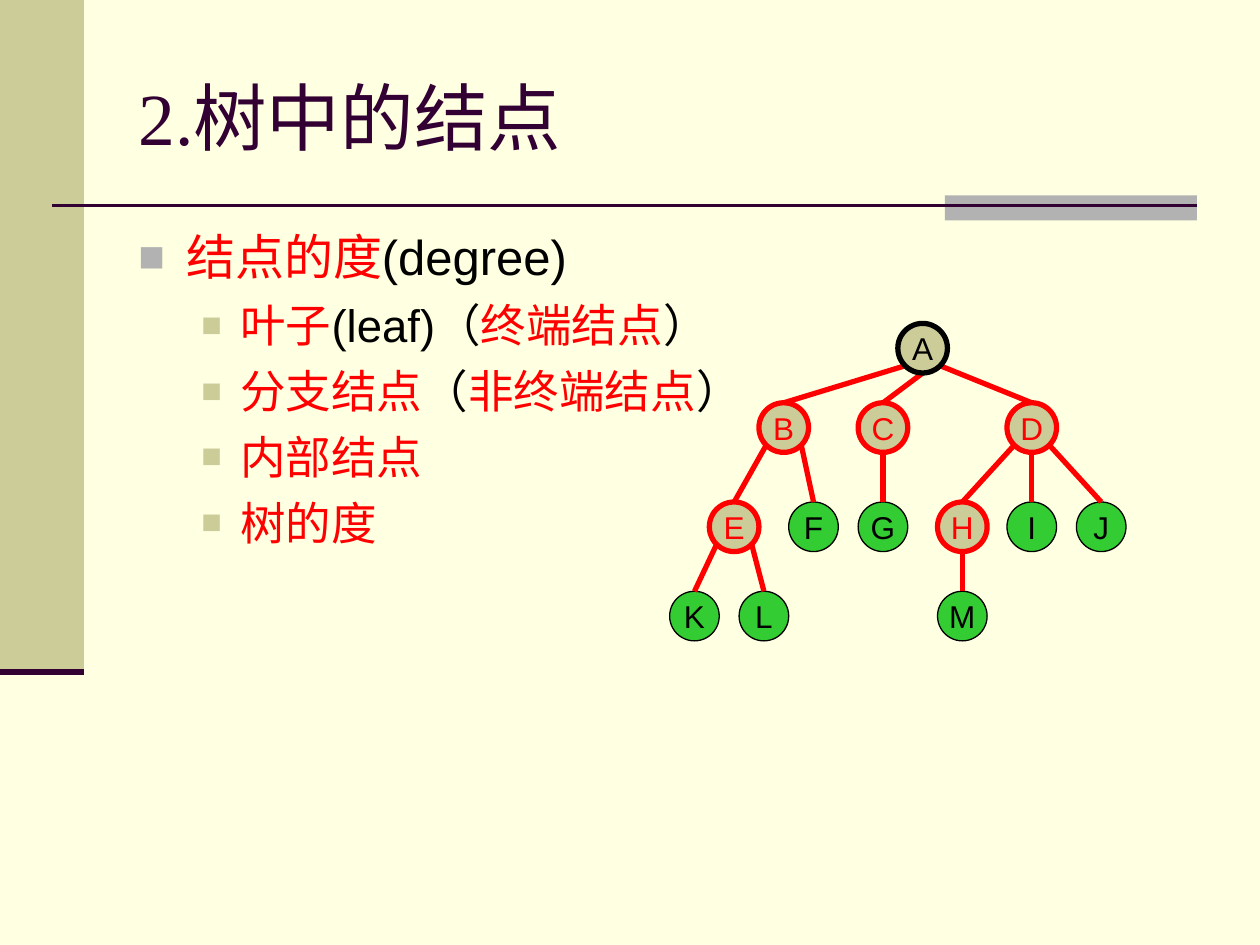
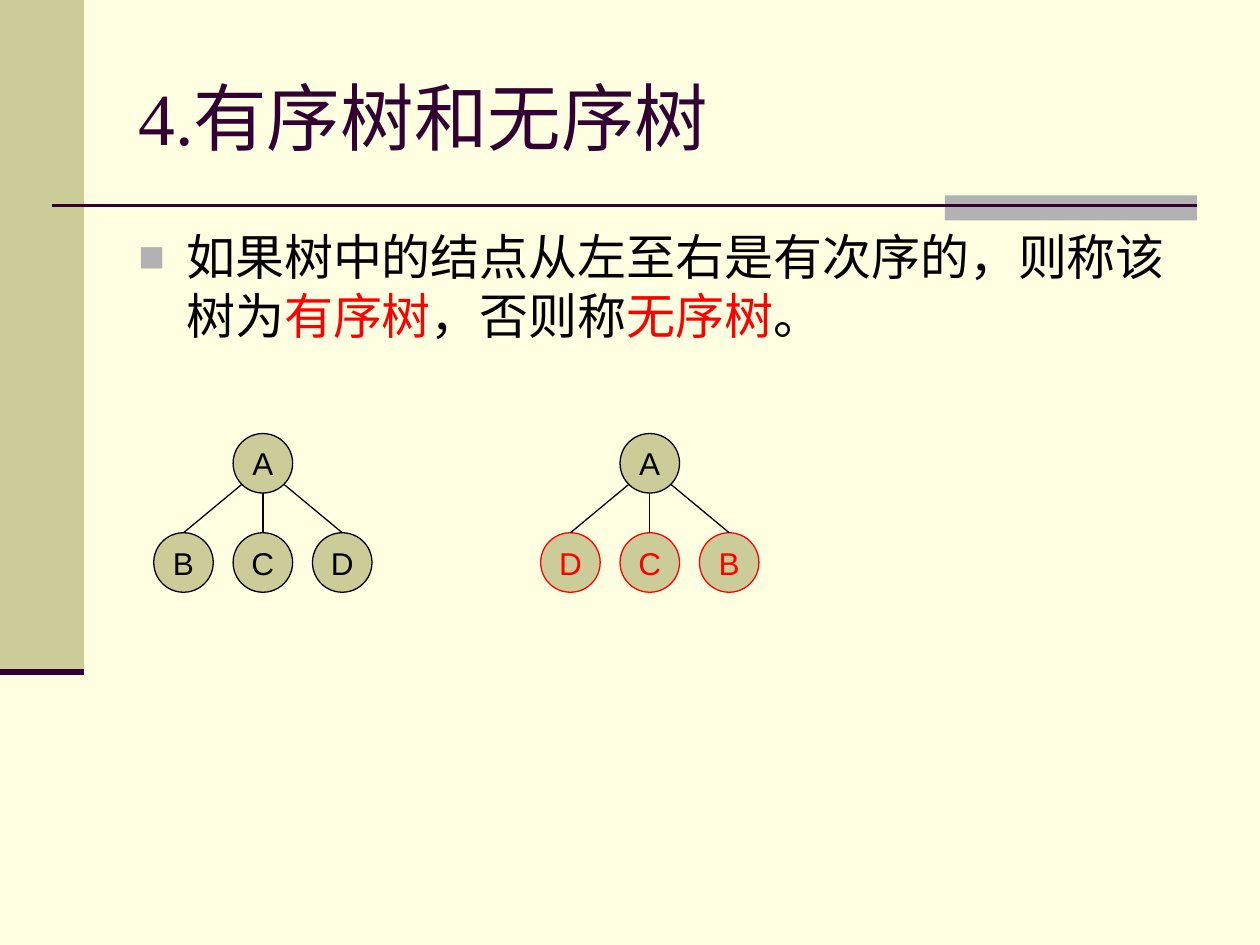
from dataclasses import dataclass
from math import sqrt

from lxml import etree
from pptx import Presentation
from pptx.dml.color import RGBColor
from pptx.enum.shapes import MSO_CONNECTOR, MSO_SHAPE
from pptx.enum.text import MSO_ANCHOR, PP_ALIGN
from pptx.oxml.ns import qn
from pptx.util import Inches, Mm, Pt

RECTANGLE, OVAL = MSO_SHAPE.RECTANGLE, MSO_SHAPE.OVAL
STRAIGHT = MSO_CONNECTOR.STRAIGHT
MIDDLE, TOP = MSO_ANCHOR.MIDDLE, MSO_ANCHOR.TOP
CENTER = PP_ALIGN.CENTER

COLORS = {
    "paper": "FFFFE1", "sand": "CCCC99", "gray": "B2B2B2", "plum": "330033",
    "red": "FF0000", "black": "000000", "green": "33CC33",
}
TITLE_FONT, BODY_FONT = "Times New Roman", "Arial"
CELL = Inches(1) / 12  # page grid: 120 columns by 90 rows
STEP = Mm(2)           # tree grid
THIN, THICK = 0.74, 3


@dataclass(frozen=True)
class BulletLevel:
    size: float
    left: float
    hanging: float
    space_before: float
    color: str
    percent: int


@dataclass(frozen=True)
class NodeStyle:
    fill: str
    ink: str
    width: float


@dataclass(frozen=True)
class Node:
    label: str
    column: float
    row: float
    style: NodeStyle
    children: tuple["Node", ...] = ()


@dataclass(frozen=True)
class Tree:
    root: Node
    left: float
    top: float
    diameter: float
    edge_color: str
    edge_width: float


@dataclass(frozen=True)
class BulletItem:
    level: int
    runs: tuple[tuple[str, str], ...]


LEVELS = (
    BulletLevel(28, 0.38, 0.38, 7, "gray", 90),
    BulletLevel(26, 0.81, 0.31, 6.5, "sand", 75),
)


def rgb(name: str) -> RGBColor:
    return RGBColor.from_string(COLORS[name])


def add_text(paragraph, text: str, *, size: float, color: str, font: str = BODY_FONT) -> None:
    run = paragraph.add_run()
    run.text = text
    run.font.size, run.font.name = Pt(size), font
    run.font.color.rgb = rgb(color)


def add_filled(slide, preset, box: tuple[float, ...], fill: str, unit: float):
    shape = slide.shapes.add_shape(preset, *(round(value * unit) for value in box))
    shape.shadow.inherit = False
    shape.fill.solid()
    shape.fill.fore_color.rgb = rgb(fill)
    shape.line.fill.background()
    return shape


def add_line(slide, ends: tuple[float, ...], color: str, width: float, unit: float) -> None:
    line = slide.shapes.add_connector(STRAIGHT, *(round(value * unit) for value in ends))
    line.line.color.rgb = rgb(color)
    line.line.width = Pt(width)
    etree.SubElement(line._element.spPr, qn("a:effectLst"))


def add_frame(slide, box: tuple[float, ...], anchor):
    frame = slide.shapes.add_textbox(*(round(value * CELL) for value in box)).text_frame
    frame.word_wrap = True
    frame.vertical_anchor = anchor
    return frame


def set_bullet(paragraph, level: BulletLevel) -> None:
    properties = paragraph._p.get_or_add_pPr()
    properties.set("marL", str(Inches(level.left)))
    properties.set("indent", str(-Inches(level.hanging)))
    color = etree.SubElement(properties, qn("a:buClr"))
    etree.SubElement(color, qn("a:srgbClr"), val=COLORS[level.color])
    etree.SubElement(properties, qn("a:buSzPct"), val=str(level.percent * 1000))
    etree.SubElement(properties, qn("a:buFont"), typeface=BODY_FONT)
    etree.SubElement(properties, qn("a:buChar"), char="■")


def add_body(slide, items: tuple[BulletItem, ...]) -> None:
    frame = add_frame(slide, (12, 21, 102, 59.4), TOP)
    for index, item in enumerate(items):
        paragraph = frame.add_paragraph() if index else frame.paragraphs[0]
        level = LEVELS[item.level]
        paragraph.level = item.level
        paragraph.space_before = Pt(level.space_before)
        set_bullet(paragraph, level)
        for text, color in item.runs:
            add_text(paragraph, text, size=level.size, color=color)


def add_page(presentation, title: str, items: tuple[BulletItem, ...]):
    slide = presentation.slides.add_slide(presentation.slide_layouts[6])
    slide.background.fill.solid()
    slide.background.fill.fore_color.rgb = rgb("paper")
    # Side band, accent bar and rules
    add_filled(slide, RECTANGLE, (0, 0, 8, 64), "sand", CELL)
    add_filled(slide, RECTANGLE, (90, 18.6, 24, 2.4), "gray", CELL)
    add_line(slide, (5, 19.6, 114, 19.6), "plum", 1.5, CELL)
    add_line(slide, (0, 64, 8, 64), "plum", 3.5, CELL)
    # Title and bullets
    frame = add_frame(slide, (12, 3.6, 102, 15), MIDDLE)
    add_text(frame.paragraphs[0], title, size=42, color="plum", font=TITLE_FONT)
    add_body(slide, items)
    return slide


def draw_node(slide, tree: Tree, node: Node) -> None:
    """Draw the subtree first, then the edges, then the node on top."""
    radius = tree.diameter / 2
    x, y = tree.left + node.column, tree.top + node.row
    last = len(node.children) - 1
    for index, child in enumerate(node.children):
        draw_node(slide, tree, child)
        # Outer edges leave at 45 degrees, middle and single ones at the bottom
        side = 0 if 0 < index < last or last == 0 else (-1 if index == 0 else 1)
        diagonal = radius / sqrt(2)
        start = (x + side * diagonal, y + (diagonal if side else radius))
        end = (tree.left + child.column, tree.top + child.row - radius)
        add_line(slide, start + end, tree.edge_color, tree.edge_width, STEP)
    box = (x - radius, y - radius, tree.diameter, tree.diameter)
    shape = add_filled(slide, OVAL, box, node.style.fill, STEP)
    shape.line.color.rgb = rgb(node.style.ink)
    shape.line.width = Pt(node.style.width)
    frame = shape.text_frame
    frame.word_wrap = False
    frame.vertical_anchor = MIDDLE
    frame.paragraphs[0].alignment = CENTER
    add_text(frame.paragraphs[0], node.label, size=18, color=node.style.ink)


ROOT = NodeStyle("sand", "black", THICK)
BRANCH = NodeStyle("sand", "red", THICK)
LEAF = NodeStyle("green", "black", THIN)
PLAIN = NodeStyle("sand", "black", THIN)
SWAPPED = NodeStyle("sand", "red", THIN)

# Rows of the large tree, from root to deepest leaves
ROW_1, ROW_2, ROW_3, ROW_4 = 0, 8, 18, 27
LARGE_ROOT = Node("A", 23, ROW_1, ROOT, (
    Node("B", 9, ROW_2, BRANCH, (
        Node("E", 4, ROW_3, BRANCH, (
            Node("K", 0, ROW_4, LEAF), Node("L", 7, ROW_4, LEAF))),
        Node("F", 12, ROW_3, LEAF))),
    Node("C", 19, ROW_2, BRANCH, (Node("G", 19, ROW_3, LEAF),)),
    Node("D", 34, ROW_2, BRANCH, (
        Node("H", 27, ROW_3, BRANCH, (Node("M", 27, ROW_4, LEAF),)),
        Node("I", 34, ROW_3, LEAF),
        Node("J", 41, ROW_3, LEAF))),
))


def small_tree(left: float, labels: str, style: NodeStyle) -> Tree:
    children = tuple(Node(label, 8 * (index - 1), 10, style)
                     for index, label in enumerate(labels))
    return Tree(Node("A", 0, 0, PLAIN, children), left, 46.7, 6, "black", THIN)


NODE_ITEMS = (
    BulletItem(0, (("结点的度", "red"), ("(degree)", "black"))),
    BulletItem(1, (("叶子", "red"), ("(leaf)（", "black"),
                   ("终端结点", "red"), ("）", "black"))),
    BulletItem(1, (("分支结点", "red"), ("（", "black"),
                   ("非终端结点", "red"), ("）", "black"))),
    BulletItem(1, (("内部结点", "red"),)),
    BulletItem(1, (("树的度", "red"),)),
)
ORDER_ITEMS = (
    BulletItem(0, (("如果树中的结点从左至右是有次序的，则称该树为", "black"),
                   ("有序树", "red"), ("，否则称", "black"),
                   ("无序树", "red"), ("。", "black"))),
)
PAGES = (
    ("2.树中的结点", NODE_ITEMS, (Tree(LARGE_ROOT, 70, 35.1, 5, "red", THICK),)),
    ("4.有序树和无序树", ORDER_ITEMS,
     (small_tree(26.5, "BCD", PLAIN), small_tree(65.5, "DCB", SWAPPED))),
)

presentation = Presentation()
presentation.slide_width, presentation.slide_height = Inches(10), Inches(7.5)
for title, items, trees in PAGES:
    slide = add_page(presentation, title, items)
    for tree in trees:
        draw_node(slide, tree, tree.root)
presentation.save("out.pptx")
